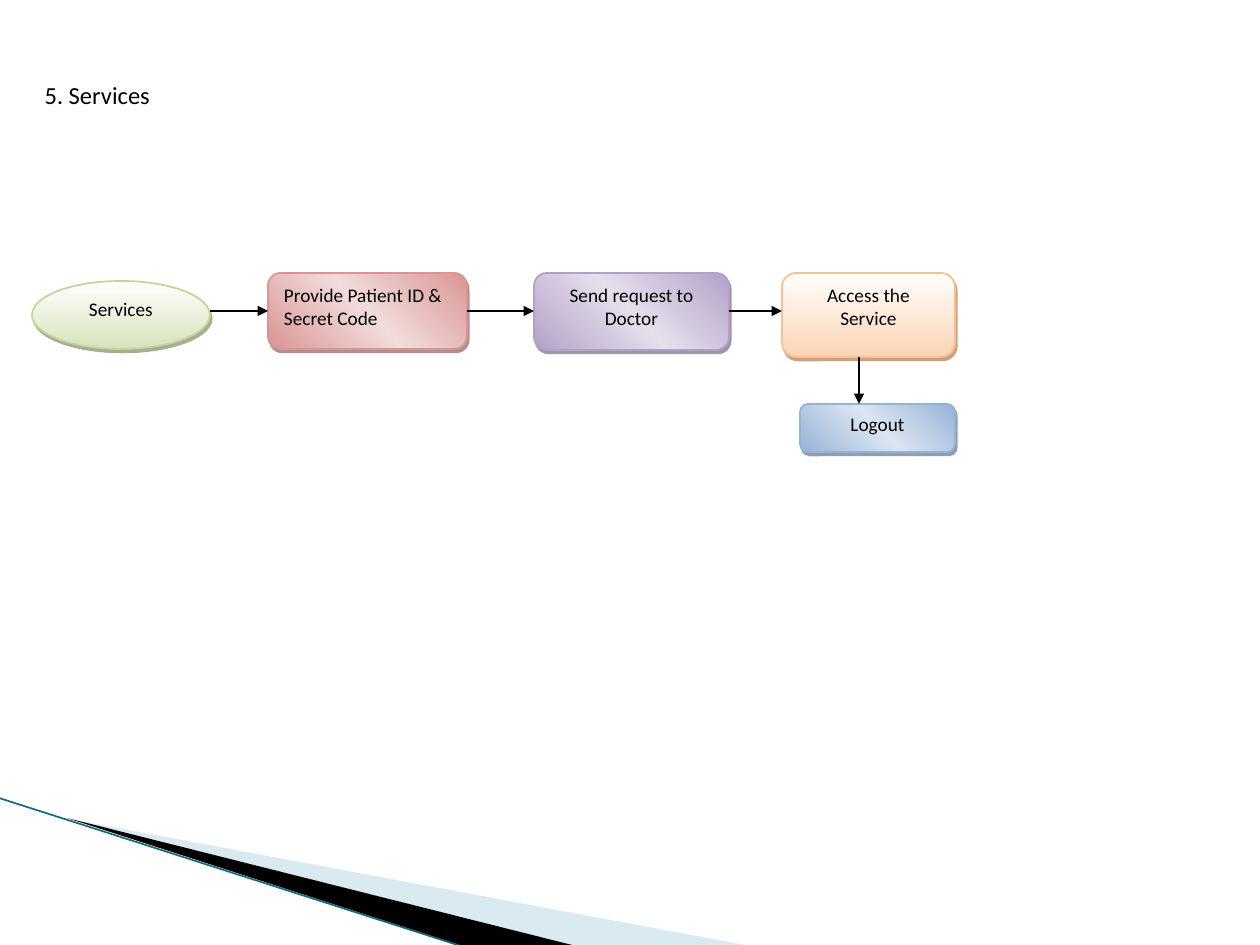
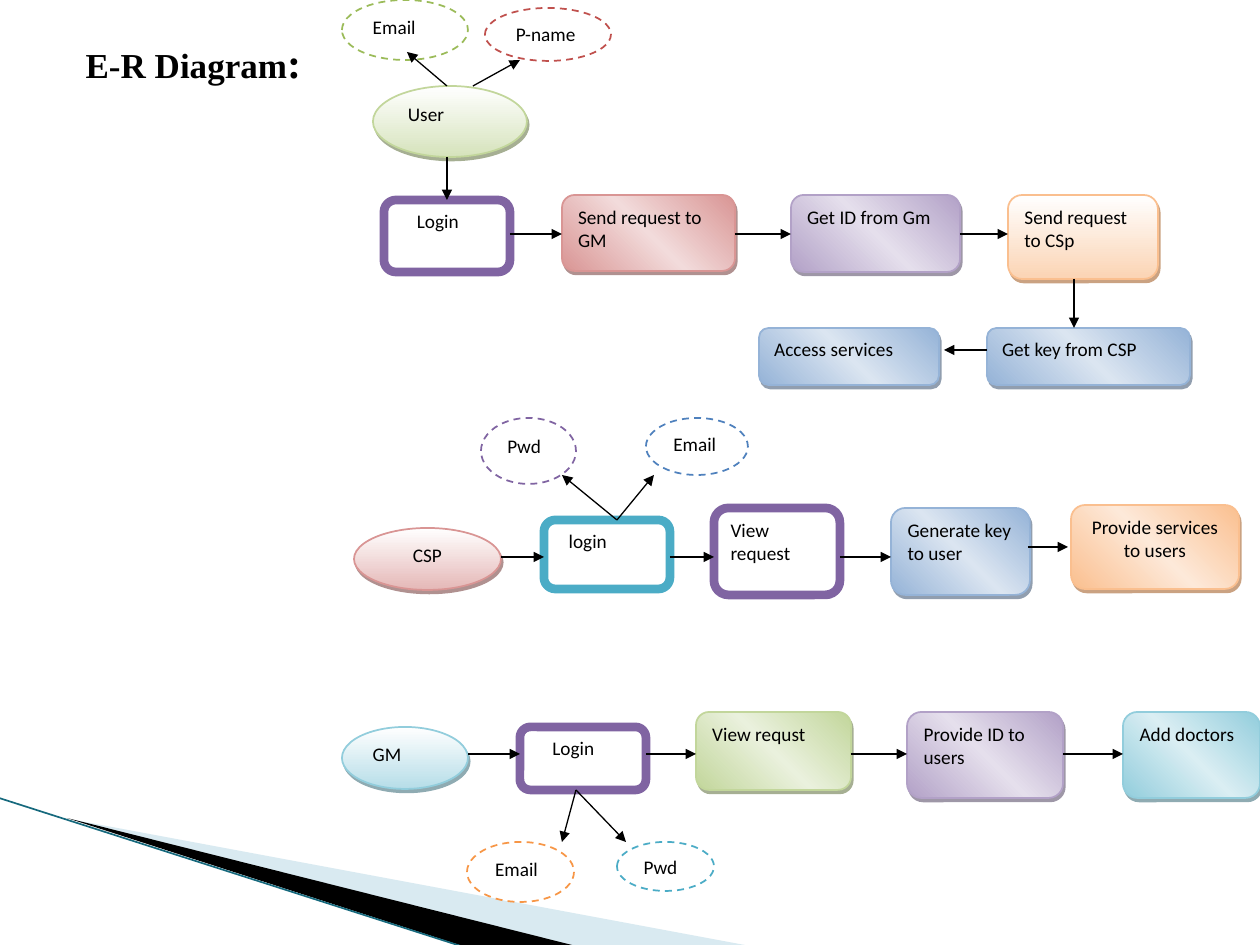
from lxml.etree import SubElement as Sub
from pptx import Presentation
from pptx.dml.color import RGBColor
from pptx.enum.dml import MSO_LINE as Dash
from pptx.enum.shapes import MSO_CONNECTOR as Conn, MSO_SHAPE as Form
from pptx.enum.text import MSO_ANCHOR as Anchor, PP_ALIGN as Align
from pptx.oxml.ns import qn
from pptx.util import Emu, Pt

SCALE = 914400 // 126
SANS, SERIF = "Calibri", "Times New Roman"
INK, PAPER = "000000", "FFFFFF"
MIST, TEAL = "A0CBDC", "16697D"

# hue: (strong, main, pale, soft, dark)
HUES = {
    "green": ("9BBB59", "C2D69B", "EAF1DD", "D6E3BC", "4E6128"),
    "red": ("C0504D", "D99594", "F2DBDB", "E5B8B7", "622423"),
    "plum": ("8064A2", "B2A1C7", "E5DFEC", "CCC0D9", "3F3151"),
    "blue": ("4F81BD", "95B3D7", "DBE5F1", "B8CCE4", "243F60"),
    "peach": ("F79646", "FABF8F", "FDE9D9", "FBD4B4", "974706"),
    "aqua": ("4BACC6", "92CDDC", "DAEEF3", "B6DDE8", "205867"),
}
OVALS = ("orb", "dash")
MID = "mid"  # centred text; a number is a left indent in pixels


def px(num):
    """Turn picture pixels into EMU."""
    return Emu(round(num * SCALE))


def tint(code):
    """Turn a hex string into a colour."""
    return RGBColor.from_string(code)


def write(para, text, size, face=SANS, bold=False):
    """Add one run to a paragraph."""
    run = para.add_run()
    run.text = text
    font = run.font
    font.name, font.size, font.bold = face, Pt(size), bold
    font.color.rgb = tint(INK)


def paint(shape, code):
    """Give a shape a flat fill."""
    shape.fill.solid()
    shape.fill.fore_color.rgb = tint(code)


def blend(shape, codes, angle):
    """Give a shape a linear gradient of evenly spaced colours."""
    shape.fill.gradient()
    grad = shape.element.spPr.find(qn("a:gradFill"))
    for part in list(grad):
        grad.remove(part)
    stops = Sub(grad, qn("a:gsLst"))
    for i, code in enumerate(codes):
        stop = Sub(stops, qn("a:gs"), pos=str(i * 100000 // (len(codes) - 1)))
        Sub(stop, qn("a:srgbClr"), val=code)
    Sub(grad, qn("a:lin"), ang=str(angle * 60000), scaled="1")


def shade(shape, code):
    """Give a shape a hard, half clear shadow."""
    glow = shape.element.spPr.find(qn("a:effectLst"))
    drop = Sub(glow, qn("a:outerShdw"), dist=str(Pt(2.2)),
               dir=str(63 * 60000), algn="ctr", rotWithShape="0")
    clr = Sub(drop, qn("a:srgbClr"), val=code)
    Sub(clr, qn("a:alpha"), val="50000")


def rule(slide, ends, code=INK, width=0.75, arrow=True):
    """Draw a straight line, with an arrowhead at its end if asked."""
    line = slide.shapes.add_connector(Conn.STRAIGHT, *map(px, ends))
    line.line.color.rgb = tint(code)
    line.line.width = Pt(width)
    spot = line.element.spPr
    if arrow:
        Sub(spot.find(qn("a:ln")), qn("a:tailEnd"), type="triangle")
    Sub(spot, qn("a:effectLst"))
    return line


def wedge(slide, points, code):
    """Draw a flat polygon."""
    pen = slide.shapes.build_freeform(*points[0], scale=SCALE)
    pen.add_line_segments(points[1:])
    shape = pen.convert_to_shape()
    shape.shadow.inherit = False
    shape.line.fill.background()
    paint(shape, code)
    return shape


def sweep(slide, layout):
    """Draw the corner bands and hand them to the layout all slides use."""
    pale = wedge(slide, [(69, 819), (750, 946), (575, 946)], MIST)
    clr = pale.element.spPr.find(qn("a:solidFill"))[0]
    Sub(clr, qn("a:alpha"), val="40000")
    dark = wedge(slide, [(67, 818), (576, 946), (469, 948)], INK)
    edge = rule(slide, (-1, 798, 467, 948), TEAL, 0.95, False)
    for part in (pale, dark, edge):
        layout.shapes.element.append(part.element)


def head(slide, box, runs):
    """Set the title placeholder in a box from (text, size, face, bold)."""
    title = slide.shapes.title
    title.left, title.top, title.width, title.height = map(px, box)
    frame = title.text_frame
    frame.word_wrap = True
    frame.vertical_anchor = Anchor.MIDDLE
    para = frame.paragraphs[0]
    para.alignment = Align.LEFT
    for run in runs:
        write(para, *run)


def node(slide, left, top, look, hue, text, x, y, w, h, place=0):
    """Draw one step of a flow, offset from the flow's corner."""
    form = Form.OVAL if look in OVALS else Form.ROUNDED_RECTANGLE
    shape = slide.shapes.add_shape(
        form, px(left + x), px(top + y), px(w), px(h))
    shape.shadow.inherit = False
    strong, main, pale, soft, dark = HUES[hue]
    flat = look in ("ring", "dash")
    if flat:
        paint(shape, PAPER)
    elif look == "band":
        blend(shape, (main, pale, main), 315)
    else:
        blend(shape, (PAPER, soft), 90)
    if not flat:
        shade(shape, dark)
    shape.line.color.rgb = tint(strong if flat else main)
    shape.line.width = Pt(5 if look == "ring" else 1)
    if look == "dash":
        shape.line.dash_style = Dash.DASH
    frame = shape.text_frame
    frame.word_wrap = True
    frame.vertical_anchor = Anchor.TOP
    para = frame.paragraphs[0]
    para.alignment = Align.CENTER if place == MID else Align.LEFT
    para.space_after = Pt(10)
    if place != MID:
        para._p.get_or_add_pPr().set("marL", str(px(place)))
    write(para, text, 11)


def flow(slide, left, top, level, chain, more, lines):
    """Draw a chain joined by arrows at one level, then loose nodes and arrows."""
    for item in chain + more:
        node(slide, left, top, *item)
    for (*_, x, _, w, _, _), (*_, goal, _, _, _, _) in zip(chain, chain[1:]):
        rule(slide, (left + x + w, top + level, left + goal, top + level))
    for x1, y1, x2, y2 in lines:
        rule(slide, (left + x1, top + y1, left + x2, top + y2))


def care(slide, left, top):
    """Draw the services flow."""
    flow(slide, left, top, 38, [
        ("orb", "green", "Services", 0, 8, 178, 68, MID),
        ("band", "red", "Provide Patient ID & Secret Code", 236, 0, 199, 76, 0),
        ("band", "plum", "Send request to Doctor", 502, 0, 195, 77, MID),
        ("fade", "peach", "Access the Service", 750, 0, 173, 84, MID),
    ], [
        ("band", "blue", "Logout", 768, 131, 155, 48, MID),
    ], [(827, 84, 827, 131)])


def user(slide, left, top):
    """Draw the user's flow."""
    flow(slide, left, top, 234, [
        ("ring", "plum", "Login", 42, 200, 126, 72, 17),
        ("band", "red", "Send request to GM", 220, 195, 173, 76, 0),
        ("band", "plum", "Get ID from Gm", 449, 195, 169, 77, 0),
        ("fade", "peach", "Send request to CSp", 666, 195, 150, 84, 0),
    ], [
        ("dash", "green", "Email", 0, 0, 126, 60, 0),
        ("dash", "red", "P-name", 143, 8, 126, 53, 0),
        ("orb", "green", "User", 31, 86, 154, 71, 0),
        ("band", "blue", "Get key from CSP", 645, 328, 203, 57, 0),
        ("band", "blue", "Access services", 417, 328, 180, 57, 0),
    ], [
        (105, 86, 65, 52), (131, 86, 178, 60), (105, 157, 105, 200),
        (732, 279, 732, 328), (645, 350, 602, 350),
    ])


def cloud(slide, left, top):
    """Draw the CSP flow."""
    flow(slide, left, top, 139, [
        ("orb", "red", "CSP", 0, 110, 147, 62, MID),
        ("ring", "aqua", "login", 190, 102, 126, 69, 9),
        ("ring", "plum", "View request", 360, 90, 126, 87, 0),
        ("band", "blue", "Generate key to user", 537, 90, 139, 87, 0),
    ], [
        ("band", "peach", "Provide services to users", 717, 87, 168, 84, MID),
        ("dash", "blue", "Email", 292, 0, 102, 57, 0),
        ("dash", "plum", "Pwd", 127, 0, 95, 66, 0),
    ], [
        (263, 102, 300, 57), (263, 102, 208, 57), (674, 129, 714, 129),
    ])


def group(slide, left, top):
    """Draw the GM flow."""
    flow(slide, left, top, 42, [
        ("orb", "aqua", "GM", 0, 15, 126, 62, 0),
        ("ring", "plum", "Login", 178, 15, 126, 63, 17),
        ("band", "green", "View requst", 354, 0, 155, 78, 0),
        ("band", "plum", "Provide ID to users", 565, 0, 156, 86, 0),
        ("band", "aqua", "Add doctors", 781, 0, 137, 86, 0),
    ], [
        ("dash", "peach", "Email", 125, 130, 107, 60, 0),
        ("dash", "aqua", "Pwd", 275, 130, 97, 49, 0),
    ], [(234, 78, 220, 130), (234, 78, 284, 130)])


deck = Presentation()
deck.slide_width, deck.slide_height = px(1260), px(945)
plain = deck.slide_layouts[5]

first = deck.slides.add_slide(plain)
sweep(first, plain)
head(first, (32, 63, 1260, 63), [("5. Services", 14)])
care(first, 32, 273)

second = deck.slides.add_slide(plain)
head(second, (73, -21, 1187, 165),
     [("E-R Diagram", 20, SERIF, True), (":", 24, SERIF, True)])
user(second, 342, 0)
cloud(second, 354, 418)
group(second, 342, 712)

deck.save("out.pptx")
